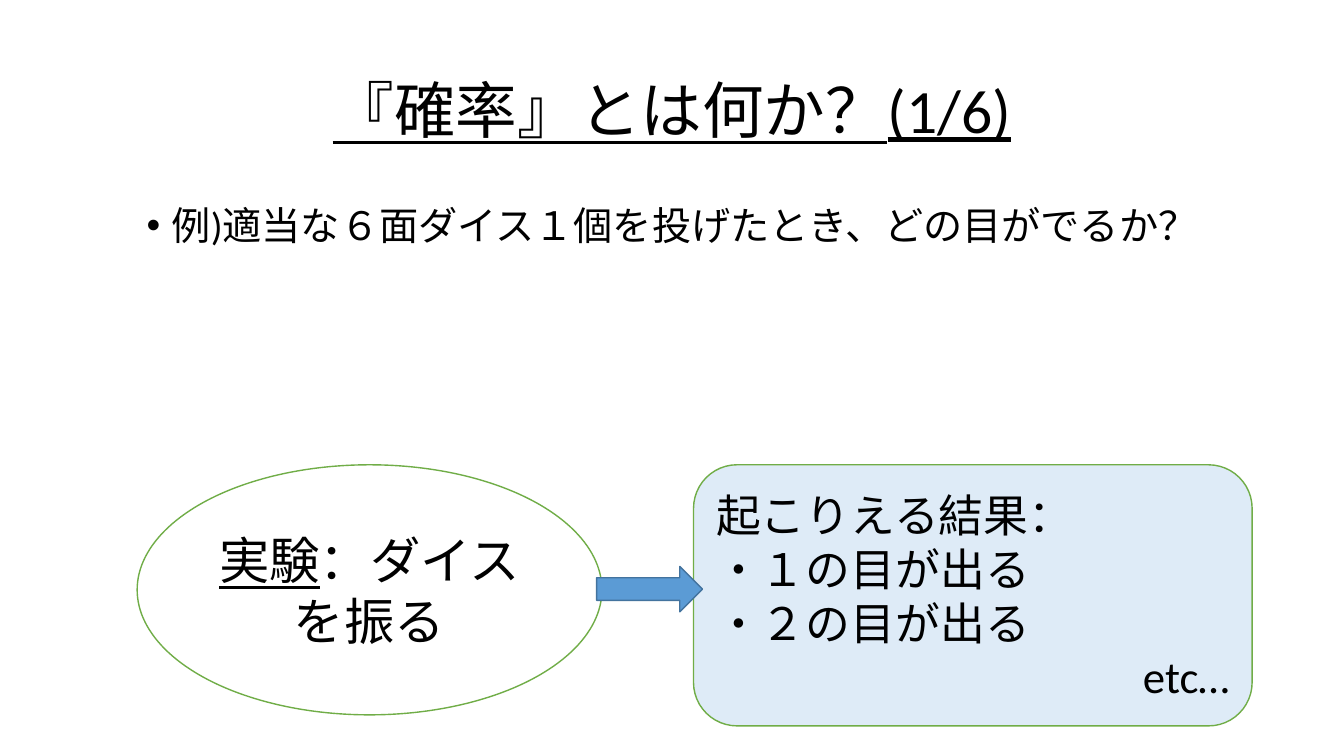
import pptx
import pptx.dml.color
import pptx.enum.shapes
import pptx.enum.text
import pptx.oxml
import pptx.oxml.ns
import pptx.util

Pt = pptx.util.Pt
ALIGN = pptx.enum.text.PP_ALIGN
ANCHOR = pptx.enum.text.MSO_ANCHOR
SHAPE = pptx.enum.shapes.MSO_SHAPE


def color(value):
    return pptx.dml.color.RGBColor.from_string(value)


def apply(target, values):
    for name, value in values.items():
        setattr(target, name, value)


def add_paragraph(frame, runs, size, first=False, **values):
    paragraph = frame.paragraphs[0] if first else frame.add_paragraph()
    apply(paragraph, values)
    for text, underline in runs:
        run = paragraph.add_run()
        run.text = text
        apply(run.font, {"name": "Calibri", "size": Pt(size), "underline": underline})
        run.font.color.rgb = color("000000")
    return paragraph


def add_text_box(slide, box, anchor):
    frame = slide.shapes.add_textbox(*map(Pt, box)).text_frame
    apply(frame, {"word_wrap": True, "vertical_anchor": anchor})
    return frame


def add_shape(slide, kind, box, fill, line):
    shape = slide.shapes.add_shape(kind, *map(Pt, box))
    shape.shadow.inherit = False
    shape.fill.solid()
    shape.fill.fore_color.rgb = color(fill)
    shape.line.color.rgb = color(line)
    shape.line.width = Pt(1)
    apply(shape.text_frame, {"word_wrap": True, "vertical_anchor": ANCHOR.MIDDLE})
    return shape.text_frame


def add_bullet(paragraph, indent):
    properties = paragraph._p.get_or_add_pPr()
    properties.set("marL", str(Pt(indent)))
    properties.set("indent", str(-Pt(indent)))
    namespace = pptx.oxml.ns.nsdecls("a")
    for xml in (f'<a:buFont {namespace} typeface="Arial"/>', f'<a:buChar {namespace} char="•"/>'):
        properties.append(pptx.oxml.parse_xml(xml))


def main():
    presentation = pptx.Presentation()
    apply(presentation, {"slide_width": Pt(960), "slide_height": Pt(540)})
    slide = presentation.slides.add_slide(presentation.slide_layouts[6])

    title = add_text_box(slide, (66, 28.8, 828, 104.4), ANCHOR.MIDDLE)
    add_paragraph(title, [("『確率』とは何か？(1/6)", True)], 44, first=True,
                  alignment=ALIGN.CENTER, line_spacing=0.9)

    body = add_text_box(slide, (66, 144, 828, 342.7), ANCHOR.TOP)
    question = add_paragraph(body, [("例)適当な６面ダイス１個を投げたとき、どの目がでるか？", False)], 28,
                             first=True, alignment=ALIGN.CENTER, line_spacing=0.9, space_before=Pt(10))
    add_bullet(question, 18)

    experiment = add_shape(slide, SHAPE.OVAL, (98, 332, 332, 178.6), "FFFFFF", "70AD47")
    add_paragraph(experiment, [("実験", True), ("：ダイスを振る", False)], 36,
                  first=True, alignment=ALIGN.CENTER)

    results = add_shape(slide, SHAPE.ROUNDED_RECTANGLE, (495.4, 332, 399, 186.5), "DEEBF7", "70AD47")
    lines = ["起こりえる結果：", "・１の目が出る", "・２の目が出る", "etc…"]
    for index, text in enumerate(lines):
        alignment = ALIGN.RIGHT if text == lines[-1] else ALIGN.LEFT
        add_paragraph(results, [(text, False)], 32, first=index == 0, alignment=alignment)

    add_shape(slide, SHAPE.RIGHT_ARROW, (426.2, 404.6, 75.6, 32.4), "5B9BD5", "43739E")
    presentation.save("out.pptx")


if __name__ == "__main__":
    main()
